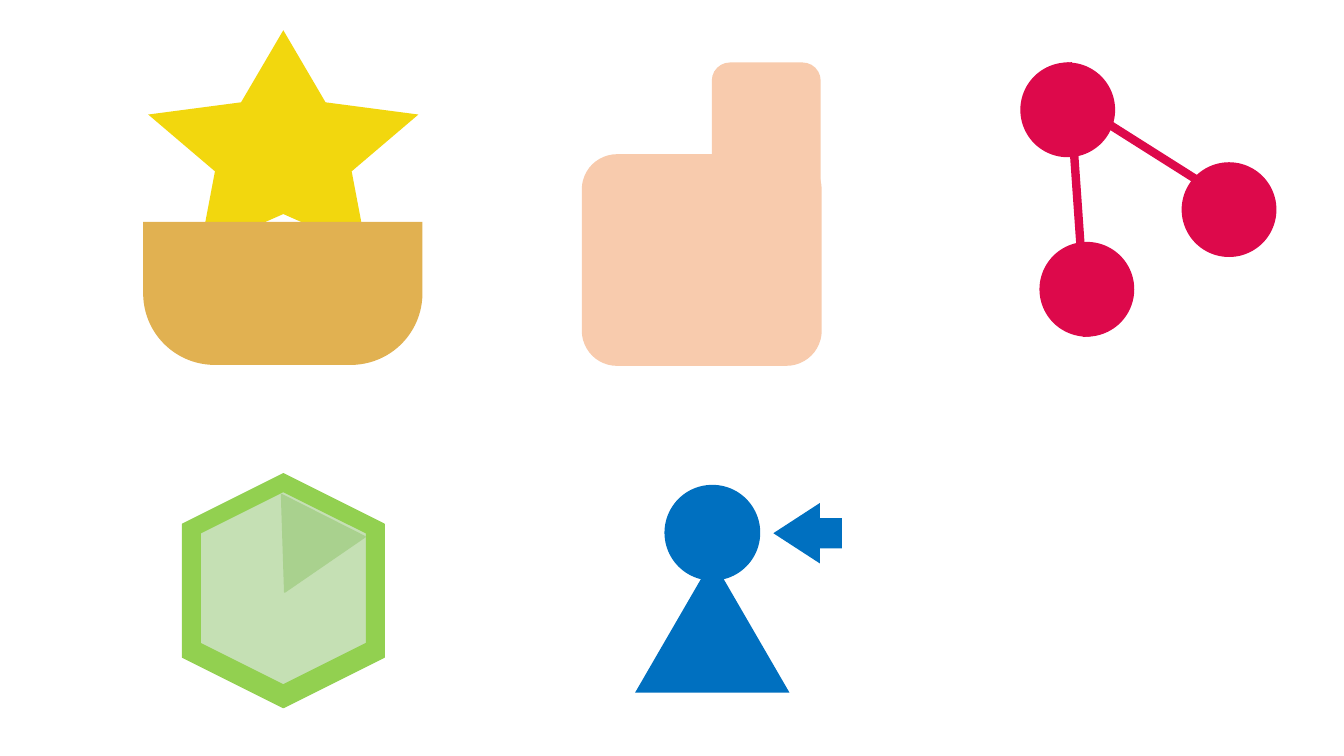
from pptx import Presentation
from pptx.dml.color import RGBColor
from pptx.enum.shapes import MSO_CONNECTOR, MSO_SHAPE
from pptx.oxml.ns import qn
from pptx.util import Inches, Pt
from lxml.etree import SubElement

GOLD, BOWL, SKIN, RED = "F2D70E", "E1B151", "F8CBAD", "DD094B"
GREEN, PALE_GREEN, MID_GREEN, BLUE = "92D050", "C5E0B4", "A9D18E", "0070C0"


def rgb(hex_color):
    """Turn a hex string into a colour."""
    return RGBColor.from_string(hex_color)


def add_figure(s, kind, box, fill, outline=None, rotation=0, adjust=()):
    """Add a flat preset shape, outlined only when a colour is given."""
    sp = s.shapes.add_shape(kind, *map(Inches, box))
    sp.shadow.inherit = False
    sp.rotation = rotation
    for i, value in enumerate(adjust):
        sp.adjustments[i] = value
    sp.fill.solid()
    sp.fill.fore_color.rgb = rgb(fill)
    if outline:
        sp.line.color.rgb = rgb(outline)
        sp.line.width = Pt(1)
    else:
        sp.line.fill.background()


def add_link(s, start, end, color):
    """Add a thick straight line between two points."""
    line = s.shapes.add_connector(
        MSO_CONNECTOR.STRAIGHT, *map(Inches, start + end))
    line.line.color.rgb = rgb(color)
    line.line.width = Pt(6)
    SubElement(line._element.spPr, qn("a:effectLst"))


def add_star_bowl(s):
    """Draw the star standing in a bowl."""
    add_figure(s, MSO_SHAPE.STAR_5_POINT, (1.47, 0.3, 2.68, 2.19), GOLD,
               adjust=(0.253,))
    add_figure(s, MSO_SHAPE.ROUND_2_SAME_RECTANGLE, (1.42, 2.2, 2.77, 1.42),
               BOWL, adjust=(0, 0.5))


def add_thumb(s):
    """Draw the fist with its raised thumb."""
    for box in ((5.77, 1.53, 2.38, 2.1), (7.06, 0.62, 1.08, 2.1)):
        add_figure(s, MSO_SHAPE.ROUNDED_RECTANGLE, box, SKIN)


def add_network(s):
    """Draw three nodes joined by two links."""
    for left, top in ((10.12, 0.62), (10.31, 2.4), (11.72, 1.61)):
        add_figure(s, MSO_SHAPE.OVAL, (left, top, 0.94, 0.94), RED)
    add_link(s, (10.59, 0.62), (10.78, 3.34), RED)
    add_link(s, (10.52, 0.93), (12.18, 1.98), RED)


def add_gem(s):
    """Draw the hexagonal gem with a shaded facet."""
    for box, fill in (((1.65, 4.86, 2.32, 2), GREEN),
                      ((1.85, 5.01, 1.92, 1.65), PALE_GREEN)):
        add_figure(s, MSO_SHAPE.HEXAGON, box, fill, GREEN, 90)
    add_figure(s, MSO_SHAPE.ISOSCELES_TRIANGLE, (2.55, 5.07, 0.93, 0.85),
               MID_GREEN, MID_GREEN, 206.8)


def add_person(s):
    """Draw the person and the arrow pointing at the head."""
    add_figure(s, MSO_SHAPE.OVAL, (6.59, 4.81, 0.95, 0.95), BLUE)
    add_figure(s, MSO_SHAPE.ISOSCELES_TRIANGLE, (6.3, 5.55, 1.53, 1.32), BLUE)
    add_figure(s, MSO_SHAPE.LEFT_ARROW, (7.67, 4.99, 0.68, 0.6), BLUE,
               adjust=(0.5, 0.77))


def main():
    """Build the slide of icons and save it."""
    prs = Presentation()
    prs.slide_width, prs.slide_height = Inches(13.33), Inches(7.5)
    s = prs.slides.add_slide(prs.slide_layouts[6])
    for add_icon in (add_star_bowl, add_thumb, add_network, add_gem, add_person):
        add_icon(s)
    prs.save("out.pptx")


main()
